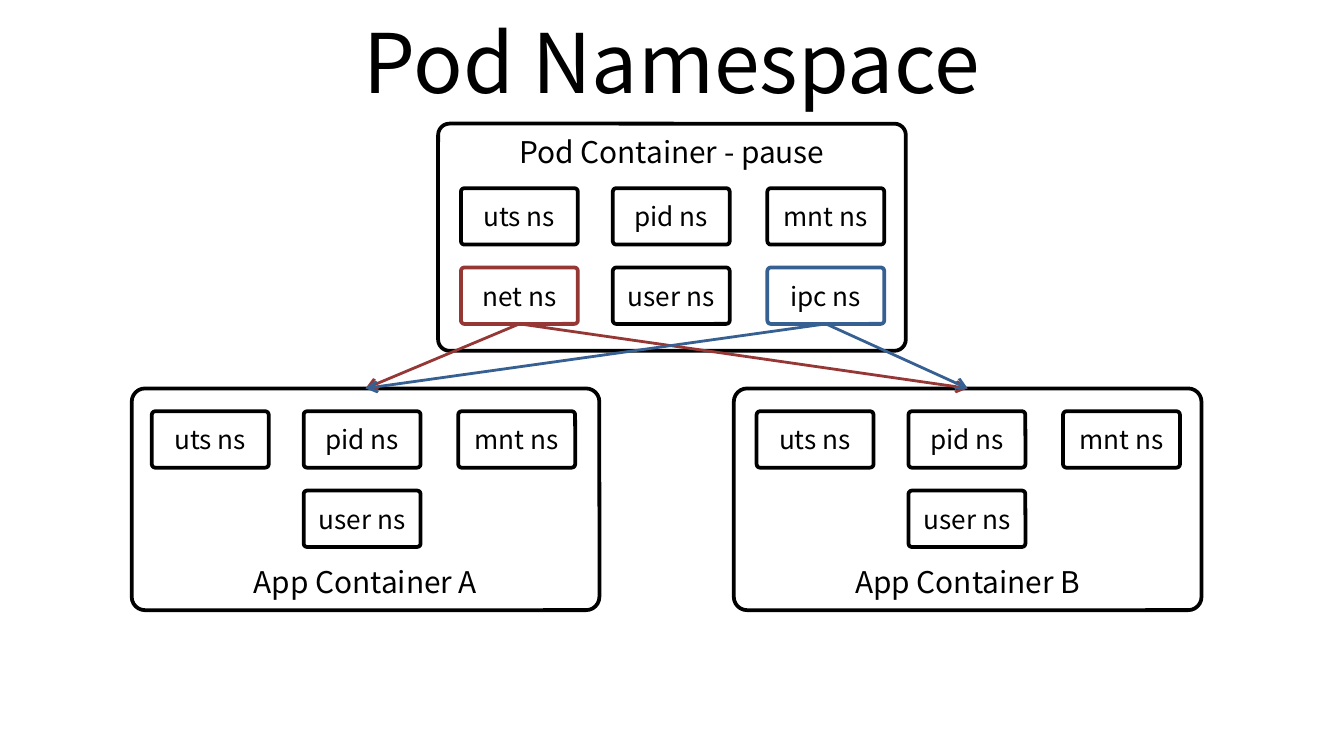
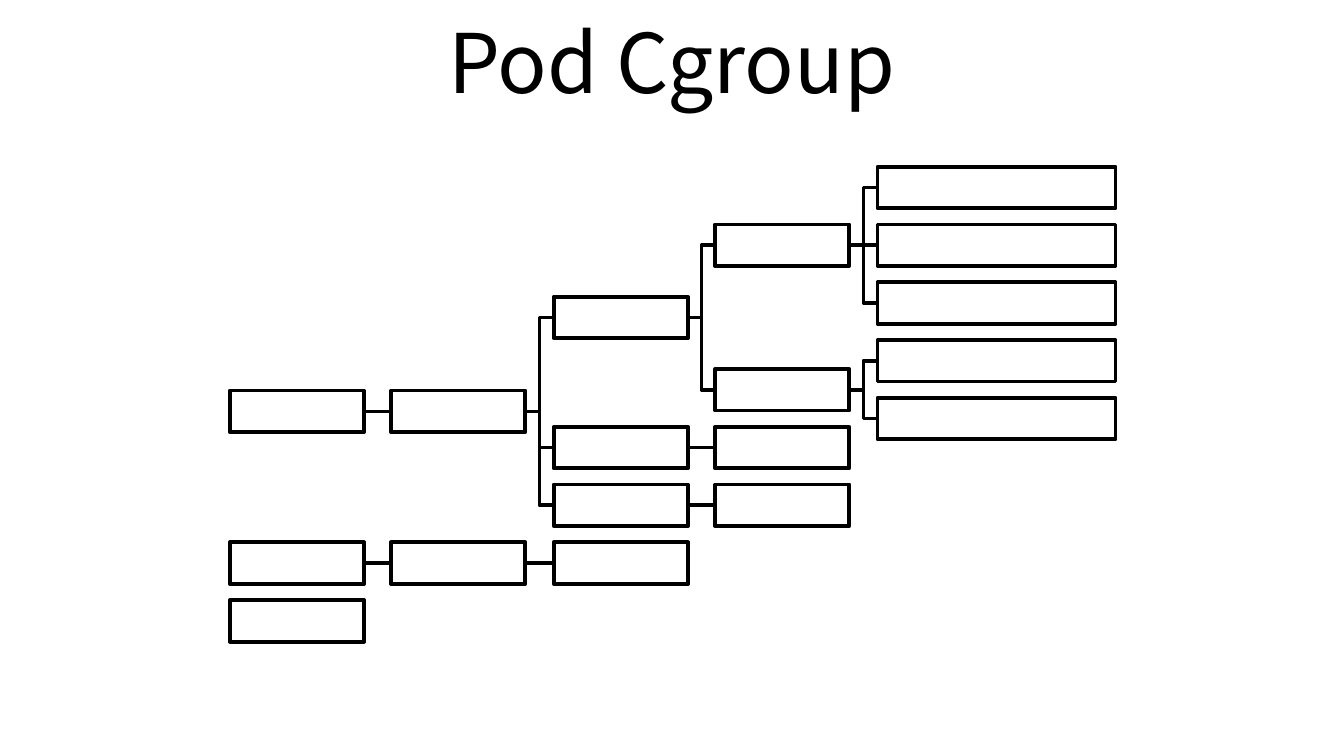
"""Build two slides on pod namespaces and the pod cgroup tree."""
from lxml import etree
from pptx import Presentation
from pptx.dml.color import RGBColor
from pptx.enum import shapes, text
from pptx.oxml.ns import qn
from pptx.util import Inches, Pt

FONT = "Noto Sans CJK KR"
BLACK, WHITE, RED, BLUE = "000000", "FFFFFF", "953735", "376092"
TOP, MIDDLE, BOTTOM = (text.MSO_ANCHOR.TOP, text.MSO_ANCHOR.MIDDLE,
                       text.MSO_ANCHOR.BOTTOM)
RECT, ROUND = (shapes.MSO_SHAPE.RECTANGLE,
               shapes.MSO_SHAPE.ROUNDED_RECTANGLE)

TITLES = ("Pod Namespace", "Pod Cgroup")
TITLE_BOX = (0.5, -0.02, 9, 0.94)

APP_NAMESPACES = (("uts ns", 0, 0), ("pid ns", 1, 0), ("mnt ns", 2, 0),
                  ("user ns", 1, 1))
POD_NAMESPACES = APP_NAMESPACES + (("net ns", 0, 1), ("ipc ns", 2, 1))
CONTAINERS = (
    ("Pod Container - pause", (3.26, 0.92, 3.48, 1.69), 0.05, TOP,
     (3.43, 1.4), POD_NAMESPACES),
    ("App Container A", (0.98, 2.89, 3.48, 1.65), 0.06, BOTTOM,
     (1.13, 3.06), APP_NAMESPACES),
    ("App Container B", (5.46, 2.89, 3.48, 1.65), 0.06, BOTTOM,
     (5.63, 3.06), APP_NAMESPACES),
)
SHARED = {"net ns": RED, "ipc ns": BLUE}
NS_COLUMNS = (0, 1.13, 2.28)
NS_ROW_PITCH = 0.59
NS_SIZE = (0.87, 0.42)

LEAF = ()
POD_GROUPS = ((LEAF, LEAF, LEAF), (LEAF, LEAF))
CGROUP_TREE = (
    ((POD_GROUPS, (LEAF,), (LEAF,)),),
    ((LEAF,),),
    LEAF,
)
TREE_LEFTS = (1.71, 2.91, 4.12, 5.32, 6.53)
TREE_WIDTHS = (1, 1, 1, 1, 1.77)
TREE_TOP, TREE_PITCH, NODE_HEIGHT = 1.24, 0.43, 0.31


def rgb(value):
    return RGBColor.from_string(value)


def write(sp, words, size, anchor):
    tf = sp.text_frame
    for name, value in {"word_wrap": True, "vertical_anchor": anchor}.items():
        setattr(tf, name, value)
    p = tf.paragraphs[0]
    p.alignment = text.PP_ALIGN.CENTER
    r = p.add_run()
    r.text = words
    for name, value in {"name": FONT, "size": Pt(size)}.items():
        setattr(r.font, name, value)
    r.font.color.rgb = rgb(BLACK)


def outline(sp, color=BLACK, width=2):
    sp.line.color.rgb = rgb(color)
    sp.line.width = Pt(width)


def add_box(s, kind, place, color=BLACK, radius=None):
    sp = s.shapes.add_shape(kind, *map(Inches, place))
    sp.shadow.inherit = False
    sp.fill.solid()
    sp.fill.fore_color.rgb = rgb(WHITE)
    outline(sp, color)
    if radius is not None:
        sp.adjustments[0] = radius
    return sp


def add_slide(prs, title):
    s = prs.slides.add_slide(prs.slide_layouts[6])
    write(s.shapes.add_textbox(*map(Inches, TITLE_BOX)), title, 44, MIDDLE)
    return s


def add_arrow(s, source, target, color):
    c = s.shapes.add_connector(shapes.MSO_CONNECTOR.STRAIGHT, 0, 0, 0, 0)
    c.begin_connect(source, 2)
    c.end_connect(target, 0)
    outline(c, color, 1.5)
    ln = c._element.spPr.find(qn("a:ln"))
    etree.SubElement(ln, qn("a:tailEnd"), type="arrow")
    etree.SubElement(c._element.spPr, qn("a:effectLst"))


def draw_namespaces(s):
    containers, sources = [], {}
    for label, place, radius, anchor, (left, top), namespaces in CONTAINERS:
        sp = add_box(s, ROUND, place, radius=radius)
        write(sp, label, 16, anchor)
        containers.append(sp)
        for name, column, row in namespaces:
            at = (left + NS_COLUMNS[column], top + row * NS_ROW_PITCH)
            ns = add_box(s, ROUND, at + NS_SIZE, SHARED.get(name, BLACK), 0.06)
            write(ns, name, 14, MIDDLE)
            if name in SHARED:
                sources[name] = ns
    for name, color in SHARED.items():
        for app in containers[1:]:
            add_arrow(s, sources[name], app, color)


def place_node(children, depth, free, nodes, links):
    tops = [place_node(c, depth + 1, free, nodes, links) for c in children]
    top = (tops[0] + tops[-1]) / 2 if tops else free[depth]
    free[depth] = top + TREE_PITCH
    nodes.append((depth, top))
    links.extend((depth, top, child) for child in tops)
    return top


def add_link(s, depth, parent, child):
    start = TREE_LEFTS[depth] + TREE_WIDTHS[depth]
    end = TREE_LEFTS[depth + 1]
    bend = (start + end) / 2
    y1, y2 = parent + NODE_HEIGHT / 2, child + NODE_HEIGHT / 2
    points = [(start, y1), (bend, y1), (bend, y2), (end, y2)]
    if abs(y1 - y2) < 0.01:
        points = [(start, y1), (end, y1)]
    points = [(Inches(x), Inches(y)) for x, y in points]
    fb = s.shapes.build_freeform(*points[0])
    fb.add_line_segments(points[1:], close=False)
    sp = fb.convert_to_shape()
    sp.shadow.inherit = False
    sp.fill.background()
    outline(sp)


def draw_cgroups(s):
    free, nodes, links = [TREE_TOP] * len(TREE_LEFTS), [], []
    for root in CGROUP_TREE:
        place_node(root, 0, free, nodes, links)
    for link in links:
        add_link(s, *link)
    for depth, top in nodes:
        add_box(s, RECT, (TREE_LEFTS[depth], top, TREE_WIDTHS[depth],
                          NODE_HEIGHT))


def main():
    prs = Presentation()
    prs.slide_width = Inches(10)
    prs.slide_height = prs.slide_width * 9 // 16
    for title, draw in zip(TITLES, (draw_namespaces, draw_cgroups)):
        draw(add_slide(prs, title))
    prs.save("out.pptx")


if __name__ == "__main__":
    main()
